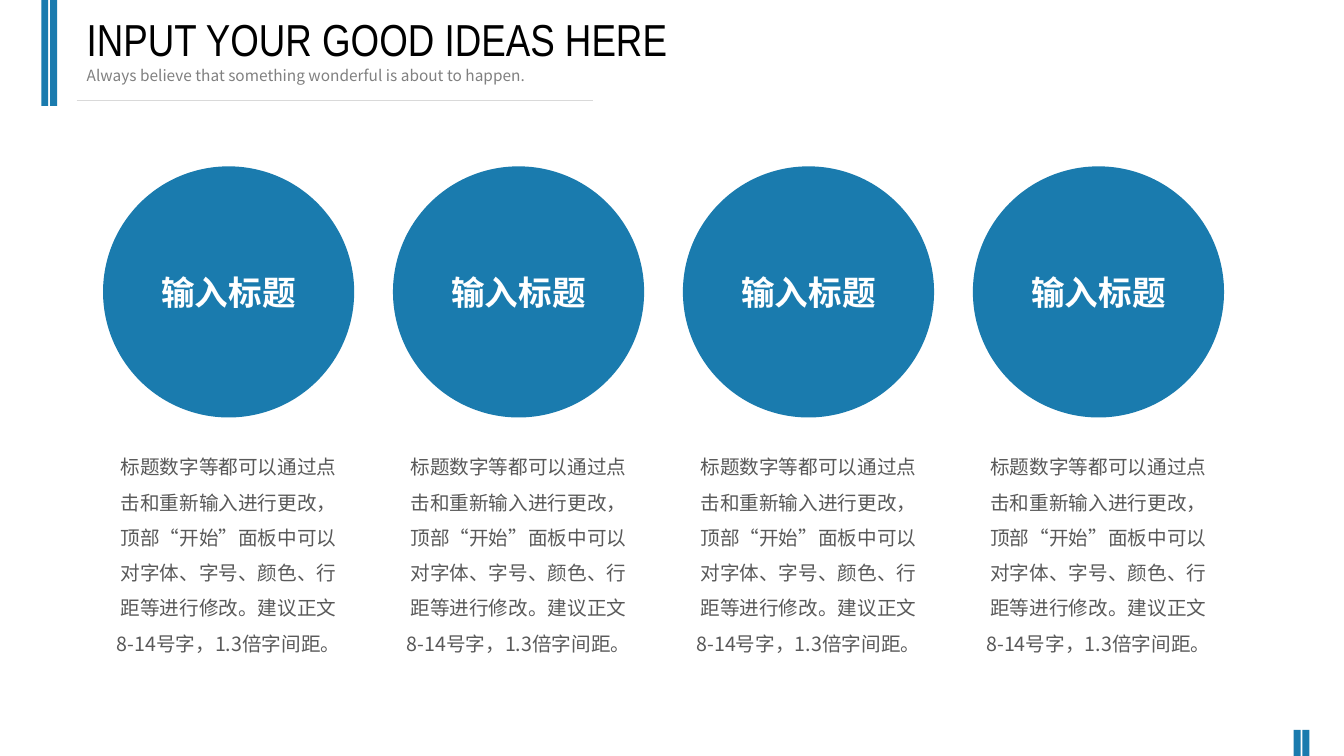
from pptx import Presentation
from pptx.dml.color import RGBColor
from pptx.enum.shapes import MSO_CONNECTOR as Connector, MSO_SHAPE as Preset
from pptx.enum.text import MSO_ANCHOR as Anchor, MSO_AUTO_SIZE as Fit, PP_ALIGN as Align
from pptx.oxml.ns import qn
from pptx.util import Pt
from lxml.etree import SubElement

COLOURS = {"blue": "1A7BAE", "rule": "D9D9D9", "white": "FFFFFF",
           "body": "595959", "subtitle": "808080", "title": "000000"}
CJK_FONT = "Noto Sans CJK SC"
HEADING = "输入标题"
DETAIL = ("标题数字等都可以通过点击和重新输入进行更改，顶部“开始”面板中可以对字体、"
          "字号、颜色、行距等进行修改。建议正文8-14号字，1.3倍字间距。")


class SlideBuilder:
    def __init__(self, page):
        self.page = page

    def colour(self, name):
        return RGBColor.from_string(COLOURS[name])

    def set_text(self, box, text, size, colour, font=CJK_FONT, align=Align.CENTER,
                 anchor=Anchor.MIDDLE, bold=False):
        frame = box.text_frame
        frame.word_wrap = True
        frame.auto_size = Fit.NONE
        frame.vertical_anchor = anchor
        para = frame.paragraphs[0]
        para.text = text
        para.alignment = align
        para.font.name = font
        para.font.size = Pt(size)
        para.font.bold = bold
        para.font.color.rgb = self.colour(colour)
        for span in para.runs:
            span.font.name = font
            SubElement(span._r.get_or_add_rPr(), qn("a:ea"), typeface=CJK_FONT)
        return para

    def placeholder(self, box, area, text, size, colour, font):
        box.left, box.top, box.width, box.height = map(Pt, area)
        para = self.set_text(box, text, size, colour, font, Align.LEFT)
        para.space_before = Pt(0)
        props = para._p.get_or_add_pPr()
        props.set("marL", "0")
        props.set("indent", "0")
        bullet = props.makeelement(qn("a:buNone"), {})
        props.find(qn("a:defRPr")).addprevious(bullet)

    def shape(self, preset, area, colour):
        box = self.page.shapes.add_shape(preset, *map(Pt, area))
        box.shadow.inherit = False
        box.fill.solid()
        box.fill.fore_color.rgb = self.colour(colour)
        box.line.fill.background()
        return box

    def rule(self, start, end, colour, width):
        line = self.page.shapes.add_connector(
            Connector.STRAIGHT, *map(Pt, (*start, *end)))
        line.line.color.rgb = self.colour(colour)
        line.line.width = Pt(width)
        SubElement(line._element.spPr, qn("a:effectLst"))

    def double_bar(self, left, top, height):
        for offset in (0, 6.3):
            self.shape(Preset.RECTANGLE, (left + offset, top, 5, height), "blue")

    def column(self, left, width):
        circle = self.shape(Preset.OVAL, (left, 118.8, width, width), "blue")
        self.set_text(circle, HEADING, 24, "white", "Arial", bold=True)
        detail = self.page.shapes.add_textbox(*map(Pt, (left, 313.2, width, 164.2)))
        para = self.set_text(detail, DETAIL, 14, "body", anchor=Anchor.TOP)
        para.line_spacing = 1.5


def main():
    deck = Presentation()
    deck.slide_width, deck.slide_height = Pt(960), Pt(540)
    page = deck.slides.add_slide(deck.slide_layouts[1])
    builder = SlideBuilder(page)

    builder.double_bar(29.5, 0, 75.6)
    builder.double_bar(924, 521.3, 18.7)
    builder.rule((54.7, 71.5), (423.4, 71.5), "rule", 0.75)
    builder.placeholder(page.shapes.title, (54.7, 4.3, 624.2, 46.1),
                        "INPUT YOUR GOOD IDEAS HERE", 32, "title", "Arial Narrow")
    builder.placeholder(page.placeholders[1], (54.7, 43.2, 508.3, 20.9),
                        "Always believe that something wonderful is about to happen.",
                        11, "subtitle", CJK_FONT)
    for index in range(4):
        builder.column(73.6 + index * 207.1, 179.4)
    deck.save("out.pptx")


if __name__ == "__main__":
    main()
